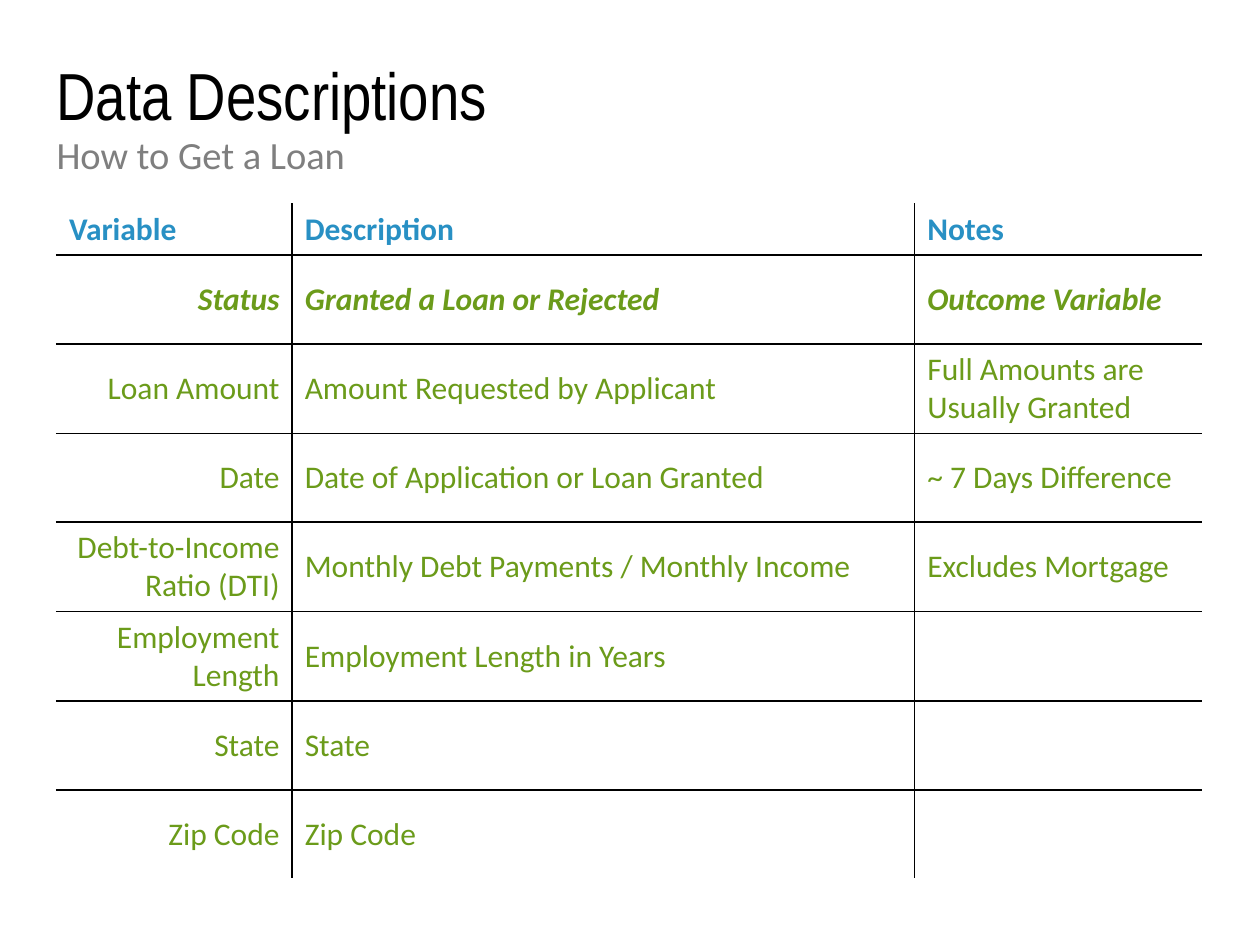
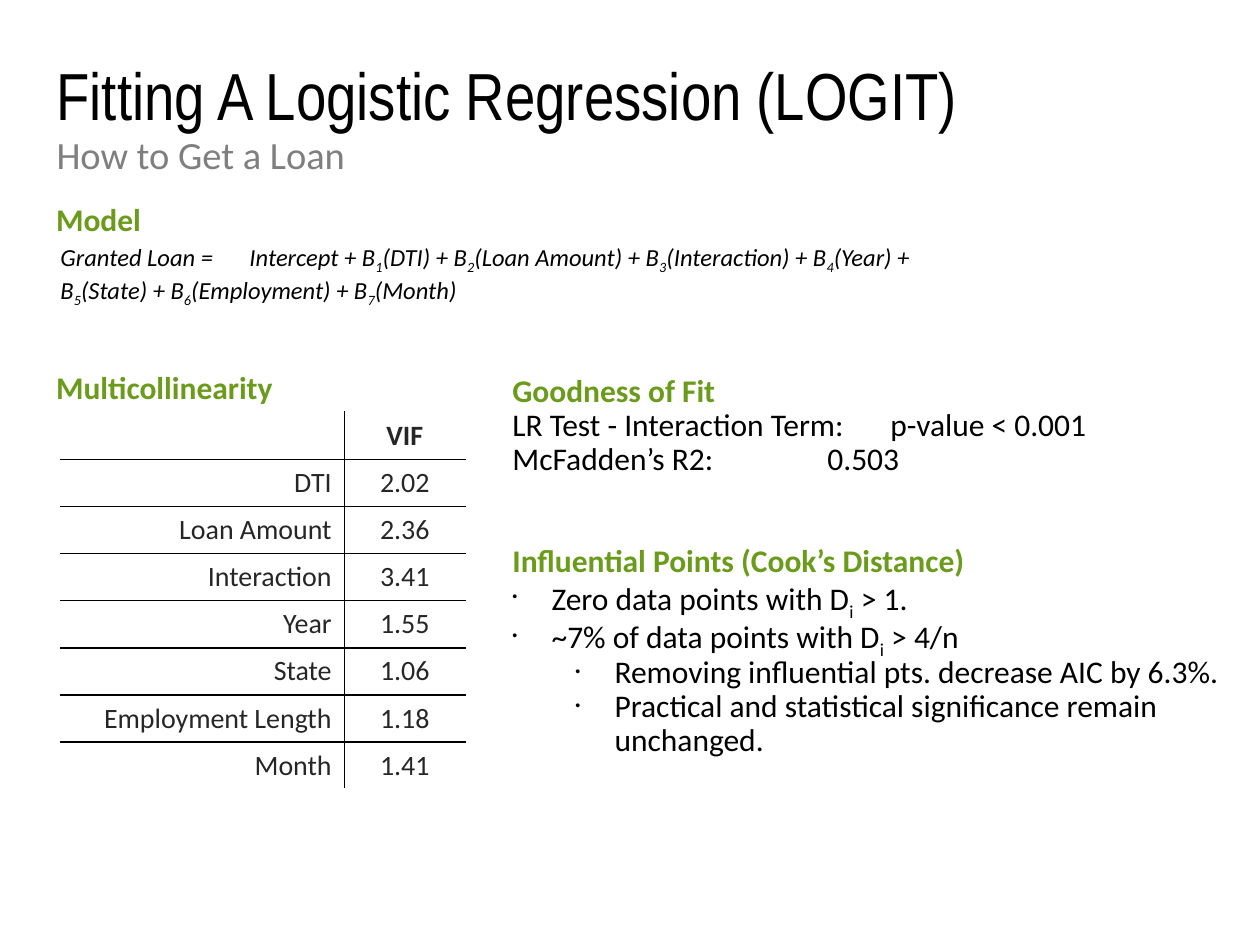
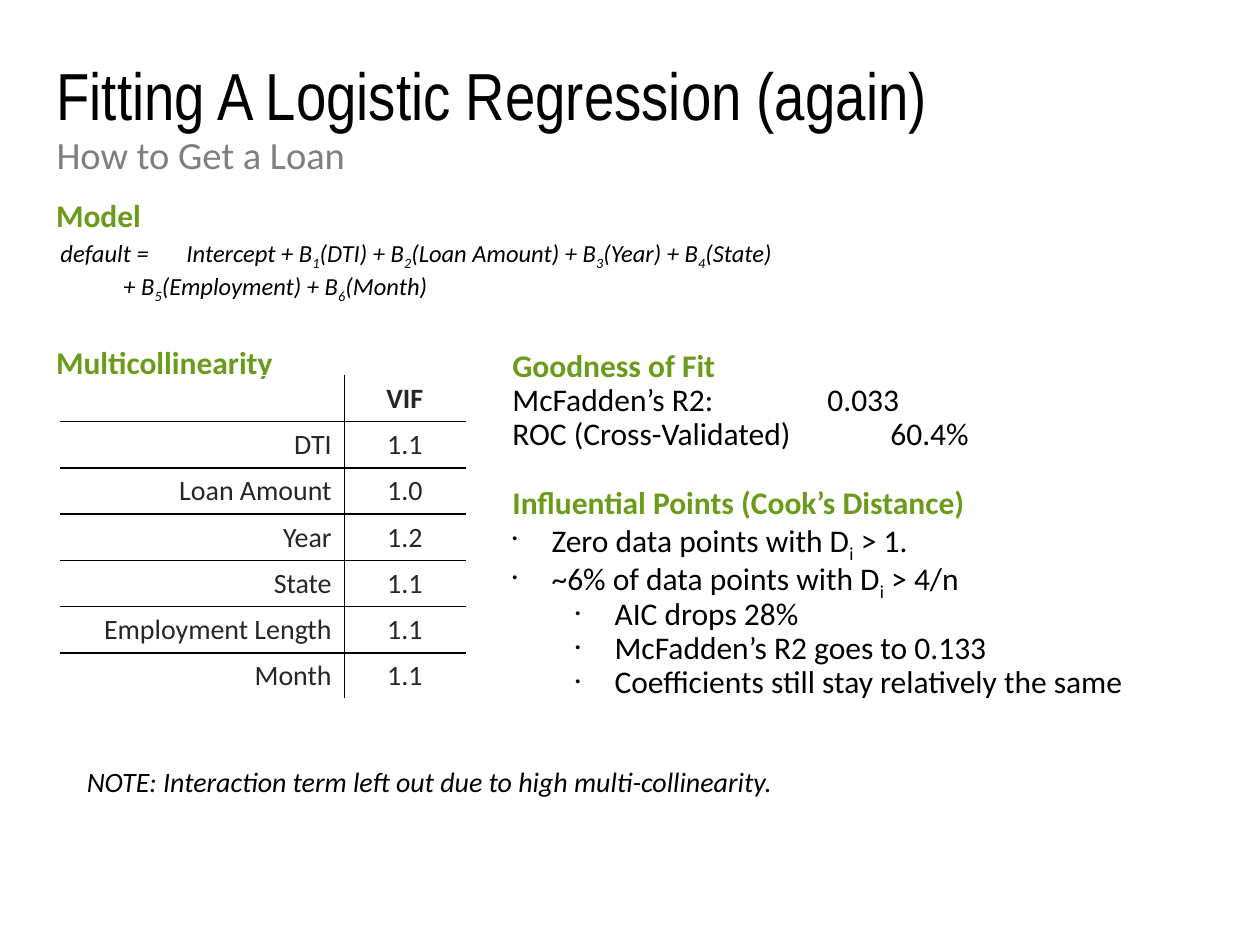
from dataclasses import dataclass

from lxml import etree
from pptx import Presentation
from pptx.dml.color import RGBColor
from pptx.enum.text import MSO_ANCHOR, MSO_AUTO_SIZE, PP_ALIGN
from pptx.oxml.ns import qn
from pptx.util import Cm, Pt

LEFT, CENTER, RIGHT = PP_ALIGN.LEFT, PP_ALIGN.CENTER, PP_ALIGN.RIGHT
TOP, MIDDLE, BOTTOM = MSO_ANCHOR.TOP, MSO_ANCHOR.MIDDLE, MSO_ANCHOR.BOTTOM
FIXED_SIZE = MSO_AUTO_SIZE.NONE


@dataclass(frozen=True)
class Theme:
    title_font: str = "Arial Narrow"
    body_font: str = "Calibri"
    black: str = "000000"
    white: str = "FFFFFF"
    gray: str = "7F7F7F"
    charcoal: str = "262626"
    green: str = "6B9B1A"
    blue: str = "2890C4"
    title_size: int = 38
    subtitle_size: int = 22
    text_size: int = 18
    small_size: int = 16
    formula_size: int = 14
    tight: float = 0.9


THEME = Theme()
SUBTITLE = "How to Get a Loan"
TEXT_INDENT = 0.3
BULLET_INDENTS = (1.09, 2.36)
BULLET_HANGING = 0.79


def write_text(paragraph, text, *, size=THEME.text_size, color=THEME.black,
               font=THEME.body_font, bold=False, italic=False, align=LEFT,
               spacing=1.0, before=0, indent=0, hanging=0, level=0, bullet=None):
    paragraph.alignment = align
    paragraph.line_spacing = spacing
    paragraph.space_before = Pt(before)
    paragraph.level = level
    properties = paragraph._p.get_or_add_pPr()
    properties.set("marL", str(Cm(indent)))
    properties.set("indent", str(-Cm(hanging)))
    if bullet:
        etree.SubElement(properties, qn("a:buSzPct"), val="45000")
        etree.SubElement(properties, qn("a:buFont"), typeface="Arial")
        etree.SubElement(properties, qn("a:buChar"), char=bullet)
    else:
        etree.SubElement(properties, qn("a:buNone"))

    def add_run(content, subscript=False):
        run = paragraph.add_run()
        run.text = content
        run.font.size = Pt(size)
        run.font.name = font
        run.font.bold = bold
        run.font.italic = italic
        run.font.color.rgb = RGBColor.from_string(color)
        if subscript:
            run._r.get_or_add_rPr().set("baseline", "-25000")

    if not text:
        etree.SubElement(paragraph._p, qn("a:endParaRPr"), sz=str(size * 100))
        return
    first, *subscripted = text.split("_")
    add_run(first)
    for part in subscripted:
        add_run(part[0], subscript=True)
        if part[1:]:
            add_run(part[1:])


def write_lines(text_frame, lines):
    for index, (text, style) in enumerate(lines):
        paragraph = text_frame.add_paragraph() if index else text_frame.paragraphs[0]
        write_text(paragraph, text, **style)


def add_text_box(slide, left, top, width, height, lines):
    box = slide.shapes.add_textbox(Cm(left), Cm(top), Cm(width), Cm(height))
    box.text_frame.word_wrap = True
    write_lines(box.text_frame, lines)


def fill_placeholder(shape, top, height, text, **style):
    shape.left, shape.top, shape.width, shape.height = Cm(1.14), Cm(top), Cm(23.11), Cm(height)
    frame = shape.text_frame
    frame.auto_size = FIXED_SIZE
    frame.vertical_anchor = TOP
    frame.margin_left = 0
    write_text(frame.paragraphs[0], text, spacing=THEME.tight, **style)


def add_titled_slide(presentation, title):
    slide = presentation.slides.add_slide(presentation.slide_layouts[1])
    fill_placeholder(slide.shapes.title, 1.14, 2.97, title,
                     size=THEME.title_size, font=THEME.title_font)
    fill_placeholder(slide.placeholders[1], 2.62, 1.5, SUBTITLE,
                     size=THEME.subtitle_size, color=THEME.gray, before=10)
    return slide


def set_borders(cell, colors):
    properties = cell._tc.get_or_add_tcPr()
    for side, color in zip("LRTB", colors):
        line = etree.SubElement(properties, qn(f"a:ln{side}"), w=str(Pt(1)))
        fill = etree.SubElement(line, qn("a:solidFill"))
        etree.SubElement(fill, qn("a:srgbClr"), val=color)


def add_grid_table(slide, left, top, widths, heights, rows, cell_style):
    frame = slide.shapes.add_table(len(rows), len(widths), Cm(left), Cm(top),
                                   Cm(sum(widths)), Cm(sum(heights)))
    table = frame.table
    table.first_row = table.horz_banding = False
    for column, width in zip(table.columns, widths):
        column.width = Cm(width)
    for row, height in zip(table.rows, heights):
        row.height = Cm(height)
    last_row, last_column = len(rows) - 1, len(widths) - 1
    for row_index, values in enumerate(rows):
        for column_index, text in enumerate(values):
            cell = table.cell(row_index, column_index)
            cell.vertical_anchor = MIDDLE if row_index else BOTTOM
            write_text(cell.text_frame.paragraphs[0], text,
                       **cell_style(row_index, column_index))
            outer_edges = (column_index == 0, column_index == last_column,
                           row_index == 0, row_index == last_row)
            set_borders(cell, [THEME.white if outer else THEME.black for outer in outer_edges])
            cell.fill.background()


def variable_style(row, column):
    if row == 0:
        return {"color": THEME.blue, "bold": True}
    return {"color": THEME.green, "bold": row == 1, "italic": row == 1,
            "align": LEFT if column else RIGHT}


def factor_style(row, column):
    return {"size": THEME.small_size, "color": THEME.charcoal, "bold": row == 0,
            "align": CENTER if column else RIGHT}


def add_factor_table(slide, top, row_height, factors):
    rows = [("", "VIF"), *factors]
    add_grid_table(slide, 1.22, top, (5.72, 2.44), [row_height] * len(rows), rows, factor_style)


def heading(text):
    return text, {"color": THEME.green, "bold": True,
                  "spacing": THEME.tight, "indent": TEXT_INDENT}


def measure(text):
    return text, {"spacing": THEME.tight, "indent": TEXT_INDENT}


def bullet_point(text, level=0):
    return text, {"spacing": THEME.tight, "level": level, "bullet": "•",
                  "indent": BULLET_INDENTS[level], "hanging": BULLET_HANGING}


def add_left_heading(slide, top, text):
    add_text_box(slide, 0.58, top, 7.98, 1.8, [heading(text)])


def add_right_block(slide, top, title, lines):
    add_text_box(slide, 9.78, top, 15.16, 1.8, [heading(title), *lines])


def add_formula(slide, top, lines):
    style = {"size": THEME.formula_size, "italic": True}
    add_text_box(slide, 0.97, top, 20.85, 1.45, [(line, style) for line in lines])


def add_model_slide(presentation, title, model_top, formula, factors_top, table_top,
                    row_height, factors, fit, influence_top, influence, details):
    slide = add_titled_slide(presentation, title)
    add_left_heading(slide, model_top, "Model")
    add_formula(slide, model_top + 0.76, formula)
    add_left_heading(slide, factors_top, "Multicollinearity")
    add_right_block(slide, factors_top + 0.05, "Goodness of Fit",
                    [measure(line) for line in fit])
    add_right_block(slide, influence_top, "Influential Points (Cook’s Distance)",
                    [bullet_point(line) for line in influence]
                    + [bullet_point(line, level=1) for line in details])
    add_factor_table(slide, table_top, row_height, factors)
    return slide


def add_description_slide(presentation):
    slide = add_titled_slide(presentation, "Data Descriptions")
    rows = [
        ("Variable", "Description", "Notes"),
        ("Status", "Granted a Loan or Rejected", "Outcome Variable"),
        ("Loan Amount", "Amount Requested by Applicant", "Full Amounts are Usually Granted"),
        ("Date", "Date of Application or Loan Granted", "~ 7 Days Difference"),
        ("Debt-to-Income Ratio (DTI)", "Monthly Debt Payments / Monthly Income",
         "Excludes Mortgage"),
        ("Employment Length", "Employment Length in Years", ""),
        ("State", "State", ""),
        ("Zip Code", "Zip Code", ""),
    ]
    heights = [1.03] + [1.79] * (len(rows) - 1)
    add_grid_table(slide, 1.14, 4.11, (4.75, 12.55, 5.77), heights, rows, variable_style)


def main():
    presentation = Presentation()
    presentation.slide_width, presentation.slide_height = Cm(25.4), Cm(19.05)
    add_description_slide(presentation)
    add_model_slide(
        presentation, "Fitting A Logistic Regression (LOGIT)",
        model_top=3.99,
        formula=["Granted Loan =\tIntercept + B_1(DTI) + B_2(Loan Amount) + "
                 "B_3(Interaction) + B_4(Year) +",
                 "B_5(State) + B_6(Employment) + B_7(Month)"],
        factors_top=7.39, table_top=8.31, row_height=0.95,
        factors=[("DTI", "2.02"), ("Loan Amount", "2.36"), ("Interaction", "3.41"),
                 ("Year", "1.55"), ("State", "1.06"), ("Employment Length", "1.18"),
                 ("Month", "1.41")],
        fit=["LR Test - Interaction Term:\tp-value < 0.001", "McFadden’s R2:\t\t0.503"],
        influence_top=10.87,
        influence=["Zero data points with D_i > 1.", "~7% of data points with D_i > 4/n"],
        details=["Removing influential pts. decrease AIC by 6.3%.",
                 "Practical and statistical significance remain unchanged."])
    refit_slide = add_model_slide(
        presentation, "Fitting A Logistic Regression (again)",
        model_top=3.91,
        formula=["default =\tIntercept + B_1(DTI) + B_2(Loan Amount) + B_3(Year) + B_4(State)",
                 "\t+ B_5(Employment) + B_6(Month)"],
        factors_top=6.88, table_top=7.57, row_height=0.93,
        factors=[("DTI", "1.1"), ("Loan Amount", "1.0"), ("Year", "1.2"), ("State", "1.1"),
                 ("Employment Length", "1.1"), ("Month", "1.1")],
        fit=["McFadden’s R2:\t\t0.033", "ROC (Cross-Validated)\t\t60.4%"],
        influence_top=9.7,
        influence=["Zero data points with D_i > 1.", "~6% of data points with D_i > 4/n"],
        details=["AIC drops 28%", "McFadden’s R2 goes to 0.133",
                 "Coefficients still stay relatively the same"])
    note = "NOTE: Interaction term left out due to high multi-collinearity."
    add_text_box(refit_slide, 1.5, 15.29, 19.08, 0.94,
                 [(note, {"size": THEME.small_size, "italic": True})])
    presentation.save("out.pptx")


if __name__ == "__main__":
    main()
